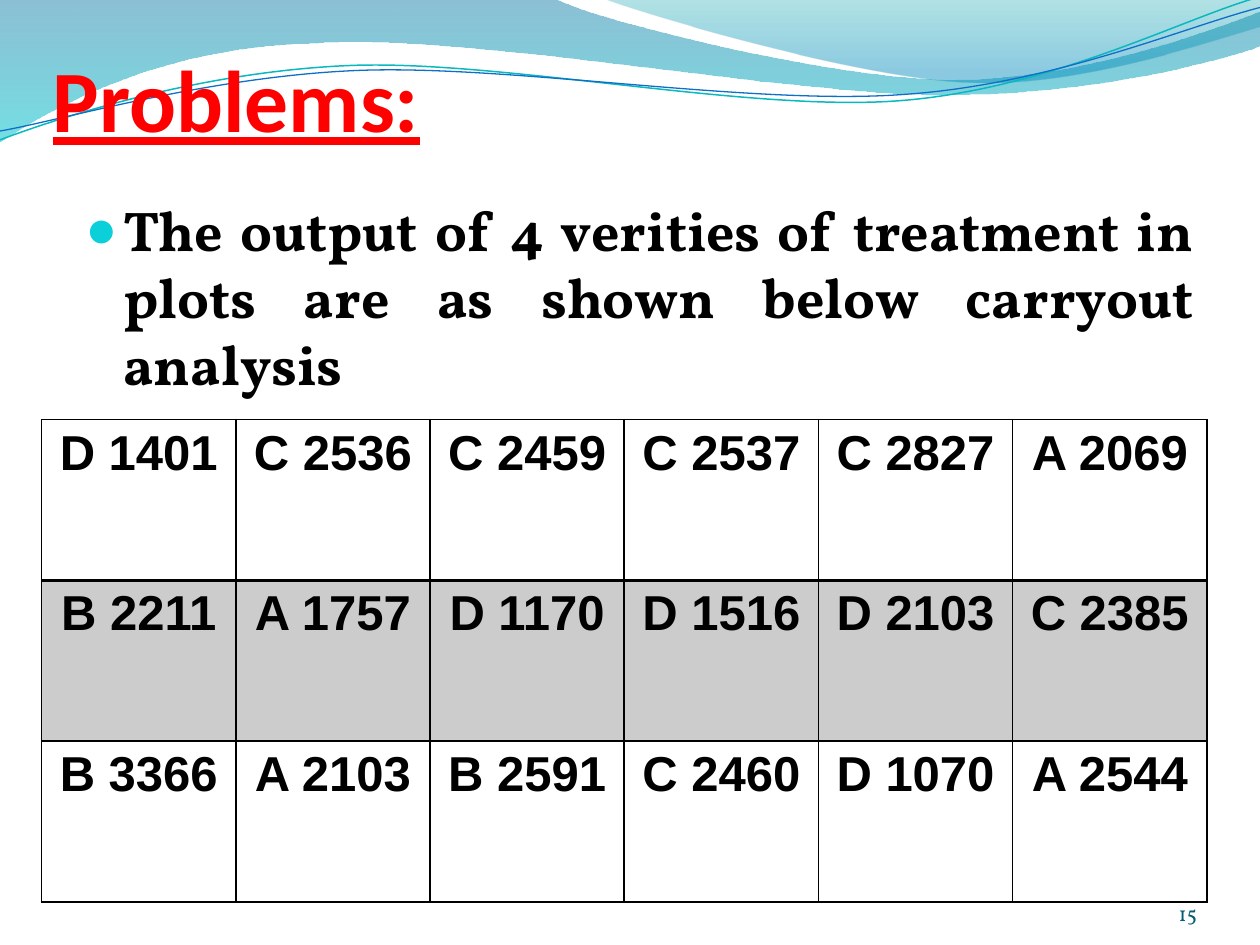
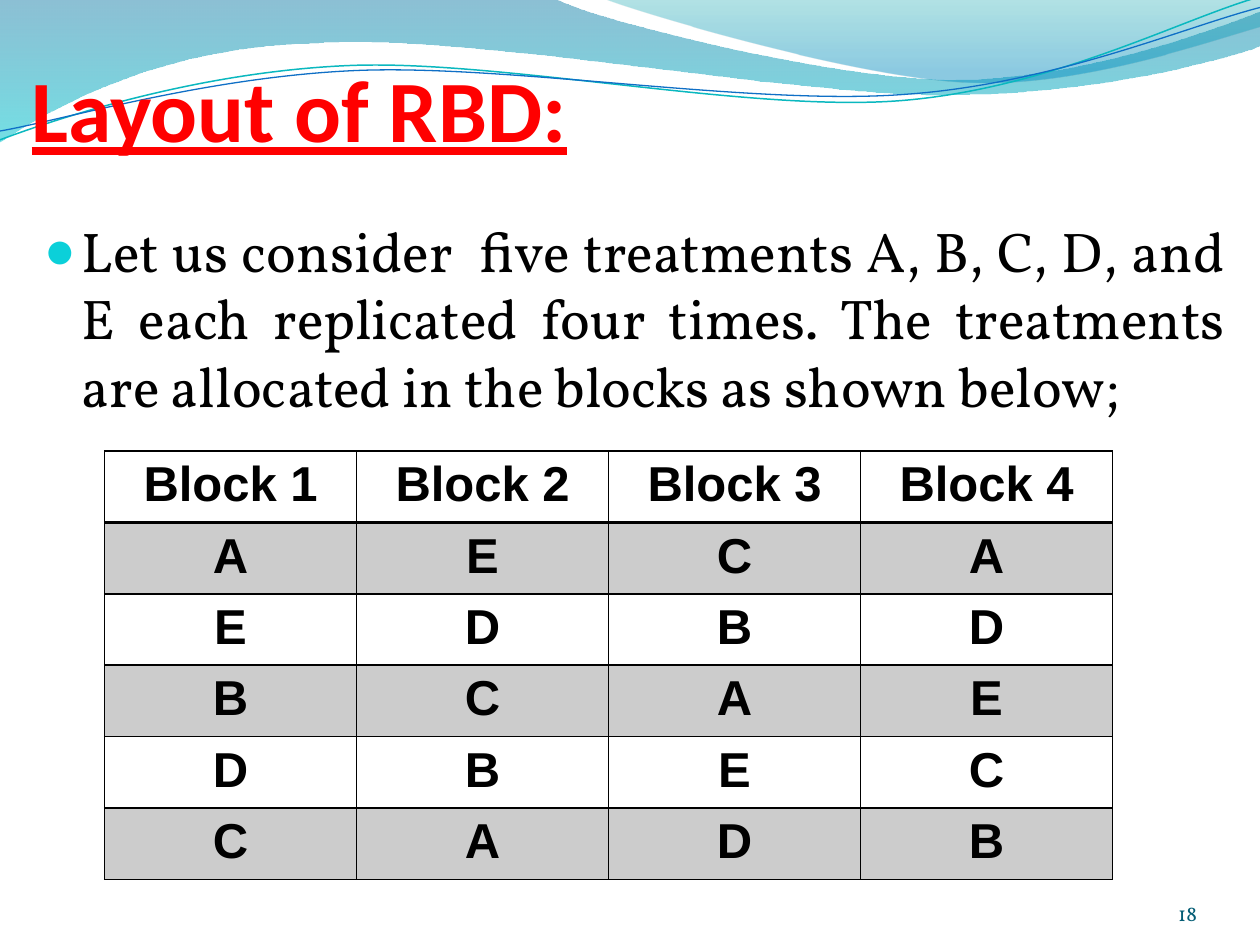
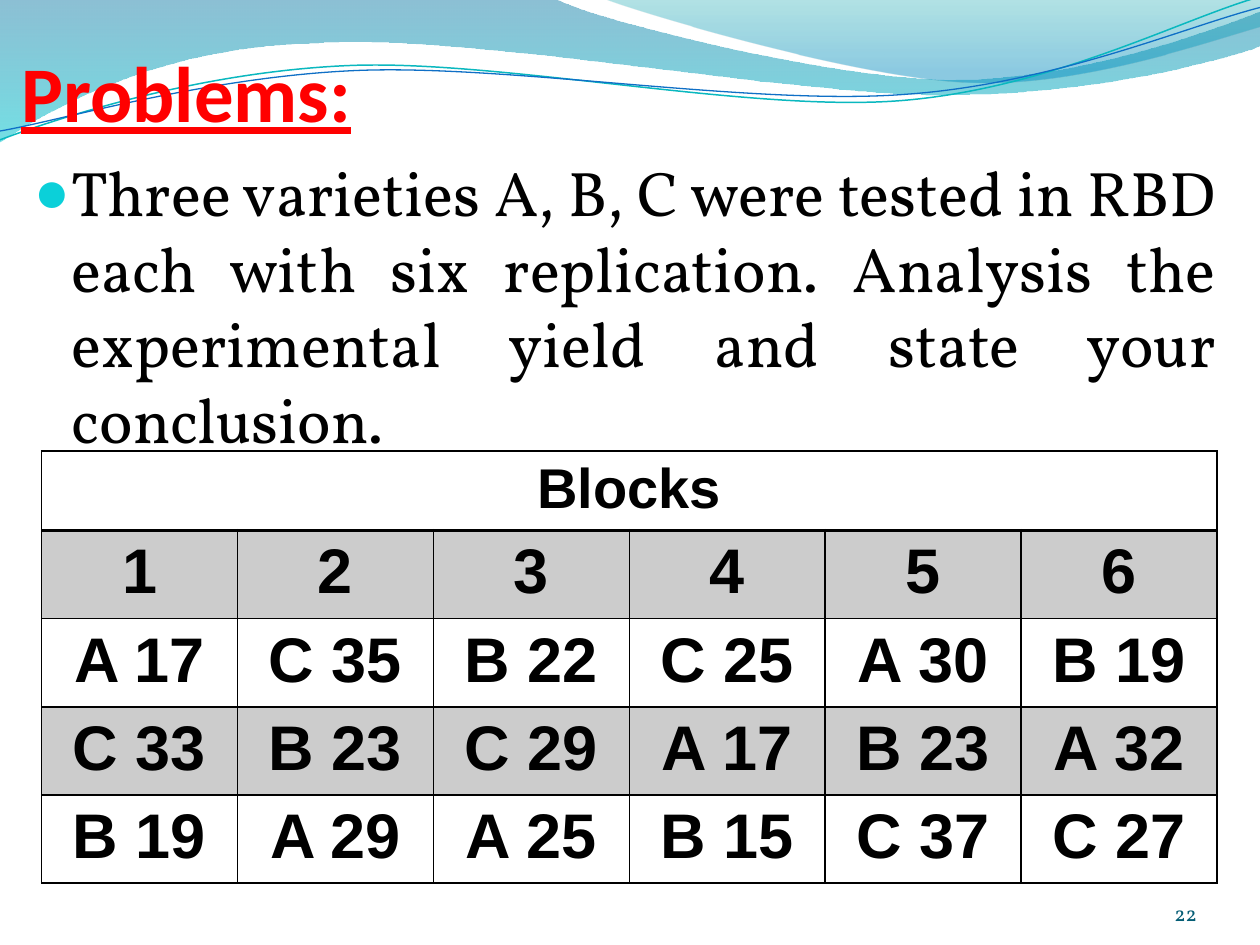
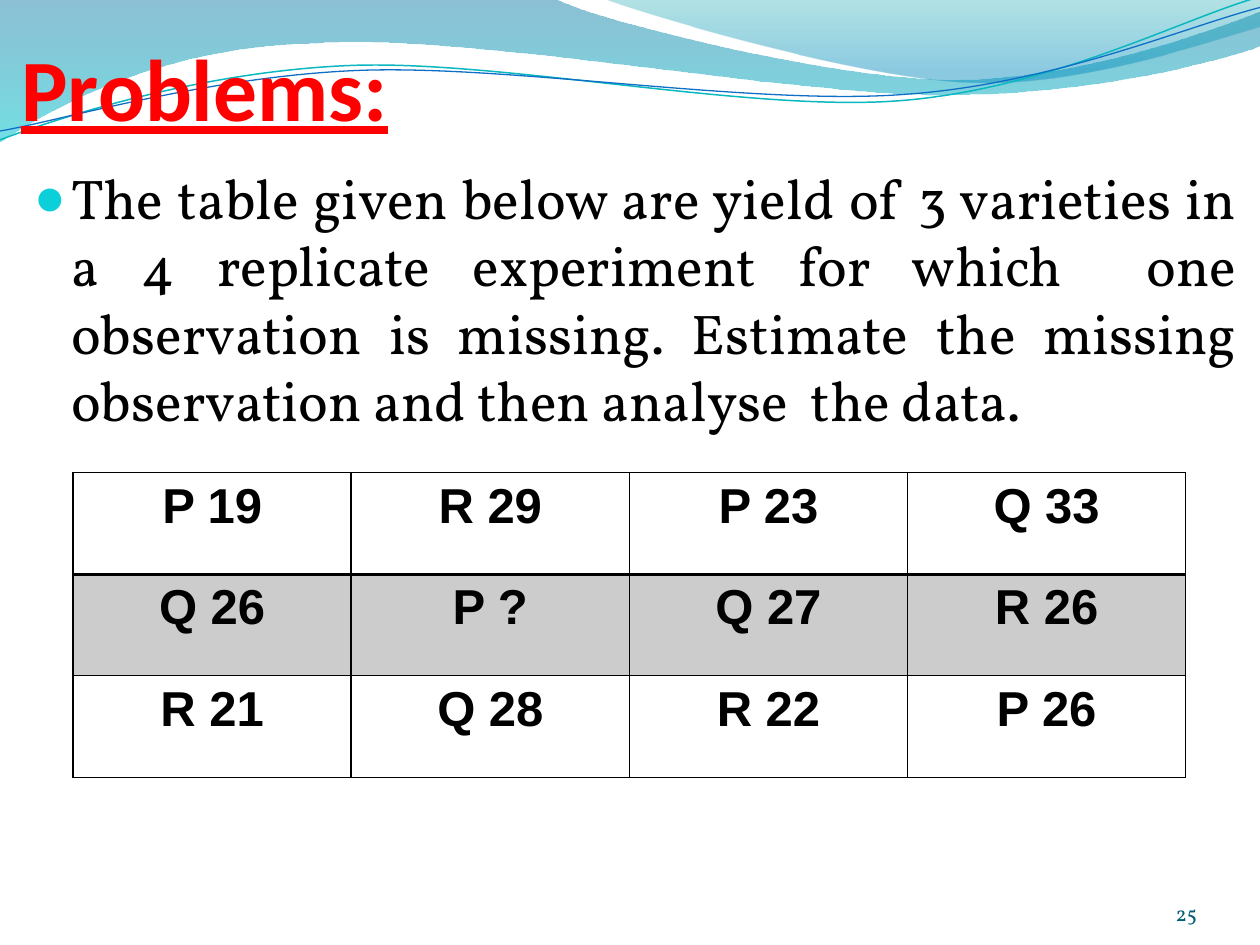
import math
from dataclasses import dataclass
from typing import Any, Optional

import pptx
import pptx.dml.color
import pptx.enum.text
import pptx.oxml
import pptx.oxml.ns
import pptx.util
from lxml import etree
from pptx.util import Inches, Pt

COLORS = {
    "title": "FF0000", "text": "000000", "bullet": "0BD0D9", "number": "045D75",
    "blue": "0074A1", "aqua": "00C6CF", "teal": "00A1A9", "sky": "008BBF",
    "teal_line": "0AB8BF", "blue_line": "0F6FC6",
}
TITLE_FONT, BODY_FONT, TABLE_FONT = "Calibri", "Vollkorn", "Arial"
ALIGN = pptx.enum.text.PP_ALIGN
ANCHOR = pptx.enum.text.MSO_ANCHOR
BAND_ALPHA = 20

Box = tuple[float, float, float, float]
Point = tuple[float, float]


@dataclass(frozen=True)
class Stop:
    position: float
    color: str
    alpha: int


@dataclass(frozen=True)
class Wave:
    """A path in inches: pairs are line ends, sextuples are Bezier curves."""
    start: Point
    segments: tuple[tuple[float, ...], ...]
    stops: tuple[Stop, ...] = ()
    line: str = ""
    line_width: float = 0
    rotation: float = 0
    center: Point = (0, 0)


@dataclass(frozen=True)
class Grid:
    box: Box
    rows: list[list[str]]
    size: int = 28
    heading: str = ""
    heading_size: int = 32
    heading_height: float = 0.63


@dataclass(frozen=True)
class Page:
    number: int
    title: str
    title_box: Box
    body: str
    body_box: Box
    grid: Grid
    title_size: int = 50
    body_size: int = 32
    body_bold: Optional[bool] = None


WAVES = [
    Wave((0, 0),
         ((4.4, -0.01), (4.76, 0.17, 6.64, 0.63, 7.58, 0.63),
          (8.53, 0.63, 9.58, 0.26, 10, 0.09), (10.01, 0.36),
          (9.83, 0.44, 8.7, 0.76, 7.46, 0.75), (6.22, 0.75, 3.82, 0.28, 2.57, 0.34),
          (1.29, 0.36, 0.46, 0.83, -0.01, 1.13), (0, 0)),
         stops=(Stop(0, "blue", 45), Stop(1, "aqua", 55))),
    Wave((4.79, -0.01),
         ((5.09, 0.11, 6.82, 0.62, 7.69, 0.65), (8.56, 0.69, 9.61, 0.32, 10, 0.21),
          (10, 0), (4.79, -0.01)),
         stops=(Stop(0, "teal", 30), Stop(0.8, "sky", 45))),
    Wave((0, 1.11),
         ((0.48, 0.93, 1.58, 0.57, 2.77, 0.52), (3.95, 0.47, 5.93, 0.89, 7.13, 0.8),
          (8.33, 0.71, 9.38, 0.15, 9.98, -0.02)),
         line="teal_line", line_width=0.85, rotation=357.3, center=(4.99, 0.57)),
    Wave((0, 1.04),
         ((0.47, 0.96, 1.64, 0.61, 2.83, 0.56), (4.03, 0.51, 5.97, 0.84, 7.17, 0.75),
          (8.36, 0.67, 9.41, 0.21, 10, 0.06)),
         line="blue_line", line_width=0.75, rotation=357.3, center=(5, 0.59)),
]

PAGES = [
    Page(15, "Problems:", (0.42, 0.25, 9, 0.94),
         "The output of 4 verities of treatment in plots are as shown below "
         "carryout analysis",
         (0.58, 1.5, 9, 4.8),
         Grid((0.33, 3.33, 9.25, 3.83), [
             ["D 1401", "C 2536", "C 2459", "C 2537", "C 2827", "A 2069"],
             ["B 2211", "A 1757", "D 1170", "D 1516", "D 2103", "C 2385"],
             ["B 3366", "A 2103", "B 2591", "C 2460", "D 1070", "A 2544"],
         ]),
         body_bold=True),
    Page(18, "Layout of RBD:", (0.25, 0.25, 9, 1.02),
         "Let us consider  five treatments A, B, C, D, and E each replicated four "
         "times. The treatments are allocated in the blocks as shown below;",
         (0.25, 1.67, 9.58, 5.5),
         Grid((0.83, 3.58, 8, 3.4), [
             ["Block 1", "Block 2", "Block 3", "Block 4"],
             ["A", "E", "C", "A"],
             ["E", "D", "B", "D"],
             ["B", "C", "A", "E"],
             ["D", "B", "E", "C"],
             ["C", "A", "D", "B"],
         ])),
    Page(22, "Problems:", (0.17, 0.25, 9, 0.85),
         "Three varieties A, B, C were tested in RBD each with six replication. "
         "Analysis the experimental yield and state your conclusion.",
         (0.17, 1.17, 9.58, 5.83),
         Grid((0.33, 3.58, 9.33, 3.43), [
             ["1", "2", "3", "4", "5", "6"],
             ["A 17", "C 35", "B 22", "C 25", "A 30", "B 19"],
             ["C 33", "B 23", "C 29", "A 17", "B 23", "A 32"],
             ["B 19", "A 29", "A 25", "B 15", "C 37", "C 27"],
         ], size=36, heading="Blocks"),
         title_size=45, body_size=36),
    Page(25, "Problems:", (0.17, 0, 9, 1.1),
         "The table given below are yield of 3 varieties in a 4 replicate experiment "
         "for which  one observation is missing. Estimate the missing observation and "
         "then analyse  the data.",
         (0.17, 1.25, 9.75, 6.08),
         Grid((0.58, 3.75, 8.83, 2.42), [
             ["P 19", "R 29", "P 23", "Q 33"],
             ["Q 26", "P ?", "Q 27", "R 26"],
             ["R 21", "Q 28", "R 22", "P 26"],
         ])),
]


def rgb(name: str) -> pptx.dml.color.RGBColor:
    return pptx.dml.color.RGBColor.from_string(COLORS[name])


def add_xml(parent: Any, tag: str, **attrs: str) -> Any:
    return etree.SubElement(parent, pptx.oxml.ns.qn(tag), attrs)


def set_alpha(fill_xml: Any, alphas: list[int]) -> None:
    """Give each RGB colour in the element its opacity in percent."""
    colors = fill_xml.iter(pptx.oxml.ns.qn("a:srgbClr"))
    for color, alpha in zip(colors, alphas):
        add_xml(color, "a:alpha", val=str(alpha * 1000))


def write(p: Any, text: str, font: str, size: float, color: str,
          align: Any = ALIGN.LEFT, bold: Optional[bool] = None) -> None:
    p.text = text
    p.alignment = align
    for r in p.runs:
        r.font.name, r.font.size, r.font.bold = font, Pt(size), bold
        r.font.color.rgb = rgb(color)


def place(sp: Any, box: Box) -> None:
    sp.left, sp.top, sp.width, sp.height = map(Inches, box)


def set_frame(tf: Any, anchor: Any, insets: Box) -> None:
    tf.word_wrap = True
    tf.auto_size = pptx.enum.text.MSO_AUTO_SIZE.NONE
    tf.vertical_anchor = anchor
    tf.margin_left, tf.margin_top, tf.margin_right, tf.margin_bottom = map(Inches, insets)


def wave_points(wave: Wave) -> list[Point]:
    """List all points, with the rotation undone that the shape applies again."""
    points = [wave.start]
    for seg in wave.segments:
        points += zip(seg[::2], seg[1::2])
    angle = math.radians(-wave.rotation)
    cos, sin = math.cos(angle), math.sin(angle)
    cx, cy = wave.center
    return [(cx + (x - cx) * cos - (y - cy) * sin, cy + (x - cx) * sin + (y - cy) * cos)
            for x, y in points]


def bend(sp: Any, wave: Wave) -> None:
    """Join the three line ends of every curved segment into one Bezier curve."""
    lines = iter(list(sp.element.iter(pptx.oxml.ns.qn("a:lnTo"))))
    for seg in wave.segments:
        first, *others = [next(lines) for _ in range(len(seg) // 2)]
        if others:
            first.tag = pptx.oxml.ns.qn("a:cubicBezTo")
        for line in others:
            first.append(line[0])
            line.getparent().remove(line)


def add_wave(s: Any, wave: Wave) -> Any:
    points = [(Inches(x), Inches(y)) for x, y in wave_points(wave)]
    builder = s.shapes.build_freeform(*points[0])
    builder.add_line_segments(points[1:], close=bool(wave.stops))
    sp = builder.convert_to_shape()
    bend(sp, wave)
    sp.shadow.inherit = False
    sp.rotation = wave.rotation
    if wave.stops:
        sp.line.fill.background()
        sp.fill.gradient()
        sp.fill.gradient_angle = 270
        for gradient_stop, stop in zip(sp.fill.gradient_stops, wave.stops):
            gradient_stop.position = stop.position
            gradient_stop.color.rgb = rgb(stop.color)
        set_alpha(sp.element.spPr, [stop.alpha for stop in wave.stops])
    else:
        sp.fill.background()
        sp.line.color.rgb = rgb(wave.line)
        sp.line.width = Pt(wave.line_width)
    return sp


def move_to_master(s: Any, shapes: list[Any]) -> None:
    """Put the shapes behind everything else on the slide's master."""
    tree = s.slide_layout.slide_master.shapes.element
    for i, sp in enumerate(shapes):
        tree.insert(2 + i, sp.element)


def add_title(s: Any, page: Page) -> None:
    sp = s.shapes.title
    place(sp, page.title_box)
    set_frame(sp.text_frame, ANCHOR.BOTTOM, (0, 0.05, 0, 0))
    p = sp.text_frame.paragraphs[0]
    write(p, page.title, TITLE_FONT, page.title_size, "title", bold=True)
    p.runs[0].font.underline = True


def add_text(s: Any, box: Box, anchor: Any, insets: Box) -> Any:
    tf = s.shapes.add_textbox(*map(Inches, box)).text_frame
    set_frame(tf, anchor, insets)
    return tf.paragraphs[0]


def add_body(s: Any, page: Page) -> None:
    p = add_text(s, page.body_box, ANCHOR.TOP, (0.1, 0.05, 0.1, 0.05))
    write(p, page.body, BODY_FONT, page.body_size, "text", ALIGN.JUSTIFY, page.body_bold)
    p.space_before = Pt(0.2 * page.body_size)
    pPr = p._p.get_or_add_pPr()
    pPr.set("marL", str(Inches(0.3)))
    pPr.set("indent", str(Inches(-0.3)))
    add_xml(add_xml(pPr, "a:buClr"), "a:srgbClr", val=COLORS["bullet"])
    add_xml(pPr, "a:buSzPct", val="95000")
    add_xml(pPr, "a:buFont", typeface="Arial")
    add_xml(pPr, "a:buChar", char="●")


def add_borders(cell: Any, top: float, bottom: float) -> None:
    tcPr = cell._tc.get_or_add_tcPr()
    for side, width in zip("LRTB", (1, 1, top, bottom)):
        ln = add_xml(tcPr, f"a:ln{side}", w=str(Pt(width)))
        add_xml(add_xml(ln, "a:solidFill"), "a:srgbClr", val=COLORS["text"])


def add_grid(s: Any, grid: Grid) -> None:
    cols = len(grid.rows[0])
    rows = list(grid.rows)
    _, _, width, height = grid.box
    heights = [height / len(rows)] * len(rows)
    if grid.heading:
        heights = [grid.heading_height] + [(height - grid.heading_height) / len(rows)] * len(rows)
        rows.insert(0, [grid.heading] + [""] * (cols - 1))
    table = s.shapes.add_table(len(rows), cols, *map(Inches, grid.box)).table
    table.first_row = table.horz_banding = False
    for col in table.columns:
        col.width = Inches(width / cols)
    for i, texts in enumerate(rows):
        table.rows[i].height = Inches(heights[i])
        size = grid.heading_size if grid.heading and i == 0 else grid.size
        for j, text in enumerate(texts):
            cell = table.cell(i, j)
            add_borders(cell, top=2 if i == 1 else 1, bottom=2 if i == 0 else 1)
            if i % 2:
                cell.fill.solid()
                cell.fill.fore_color.rgb = rgb("text")
                set_alpha(cell._tc.tcPr.find(pptx.oxml.ns.qn("a:solidFill")), [BAND_ALPHA])
            else:
                cell.fill.background()
            write(cell.text_frame.paragraphs[0], text, TABLE_FONT, size, "text",
                  ALIGN.CENTER, True)
    if grid.heading:
        table.cell(0, 0).merge(table.cell(0, cols - 1))


def add_number(s: Any, number: int) -> None:
    p = add_text(s, (8.67, 6.95, 0.83, 0.4), ANCHOR.BOTTOM, (0, 0, 0, 0))
    write(p, str(number), BODY_FONT, 12, "number", ALIGN.RIGHT)


def main() -> None:
    prs = pptx.Presentation()
    prs.slide_width, prs.slide_height = Inches(10), Inches(7.5)
    title_only = prs.slide_layouts[5]
    for page in PAGES:
        s = prs.slides.add_slide(title_only)
        if page is PAGES[0]:
            move_to_master(s, [add_wave(s, wave) for wave in WAVES])
        add_title(s, page)
        add_body(s, page)
        add_grid(s, page.grid)
        add_number(s, page.number)
    prs.save("out.pptx")


if __name__ == "__main__":
    main()
